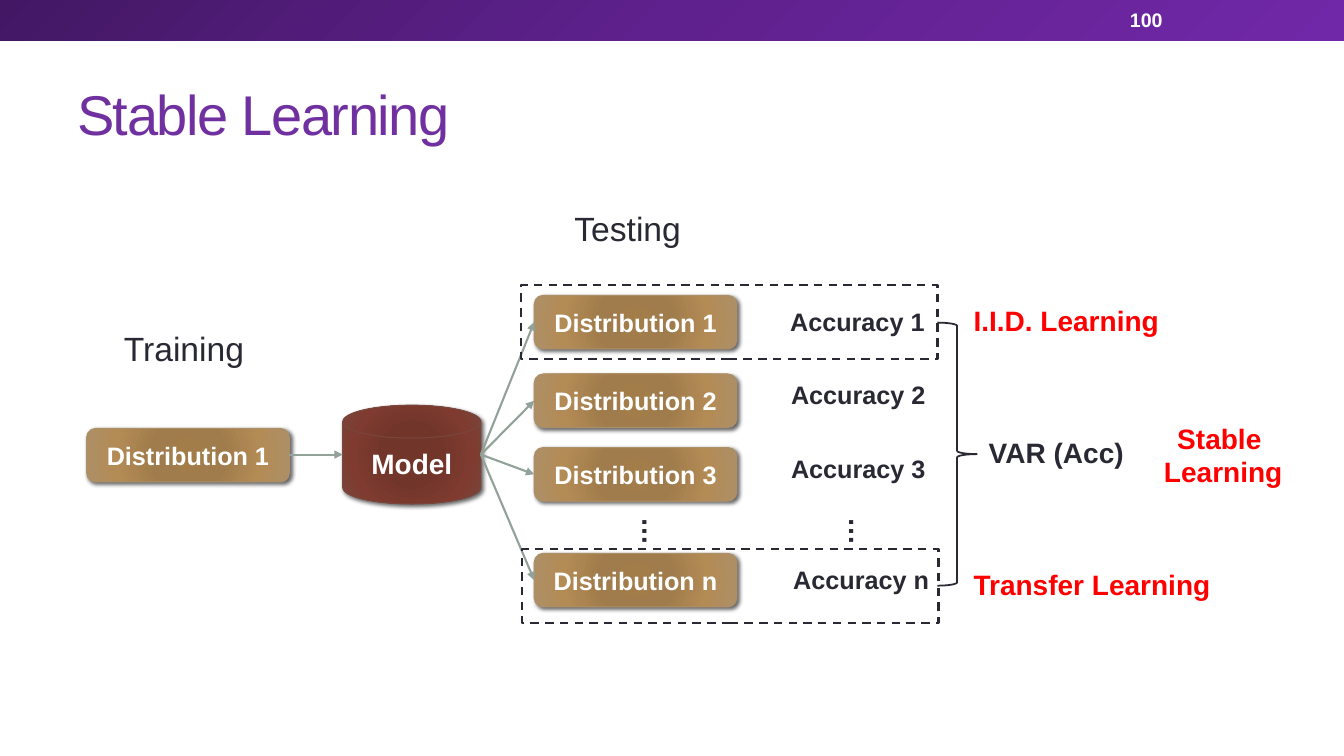
"""Build the Stable Learning slide on a grid of 100 columns by 100 rows."""
import pptx
import pptx.util
import pptx.oxml
import pptx.oxml.ns
import pptx.dml.color
import pptx.enum.dml
import pptx.enum.shapes
import pptx.enum.text
from lxml import etree

COLORS = {"ink": "292934", "red": "FF0000", "white": "FFFFFF", "title": "7030A0",
          "arrow": "93A299", "tan": "AD8F67", "brick": "79463D"}
GRADIENTS = {
    "bar": [(0, "431764"), (50, "5F218E"), (100, "7128A8")],
    "tan": [(0, "A37D49"), (34, "A07C4C"), (70, "B38B55"), (100, "AD8F67")],
    "brick": [(0, "743327"), (34, "72352A"), (70, "7F3B2F"), (100, "79463D")],
}
SHAPE = pptx.enum.shapes.MSO_SHAPE
ALIGN = pptx.enum.text.PP_ALIGN
ANCHOR = pptx.enum.text.MSO_ANCHOR
NS = pptx.oxml.ns.nsdecls("a")
qn = pptx.oxml.ns.qn
rgb = pptx.dml.color.RGBColor.from_string

prs = pptx.Presentation()
prs.slide_width = pptx.util.Inches(13.33)
prs.slide_height = pptx.util.Inches(7.5)
slide = prs.slides.add_slide(prs.slide_layouts[6])
shapes = slide.shapes


def grid(*values):
    """Turn column, row pairs into lengths."""
    sides = (prs.slide_width, prs.slide_height)
    return [int(v * sides[i % 2] / 100) for i, v in enumerate(values)]


def write(s, text, size, color, bold=True, align=ALIGN.LEFT, anchor=ANCHOR.TOP):
    """Set and format the text of a shape."""
    tf = s.text_frame
    tf.text = text
    tf.vertical_anchor = anchor
    for p in tf.paragraphs:
        p.alignment = align
        for r in p.runs:
            r.font.name = "Arial"
            r.font.size = pptx.util.Pt(size)
            r.font.bold = bold
            r.font.color.rgb = rgb(COLORS[color])


CARD_W, CARD_H = 15.08, 7.07
TRAIN_X, TEST_X = 6.45, 39.75
MODEL_X, MODEL_W = 25.5, 10.28
FLOW_Y = 60.13
cases = [("1", 39.07, 58.05, 39.87), ("2", 49.47, 58.12, 49.47),
         ("3", 59.2, 58.12, 59.33), ("n", 73.2, 58.28, 74)]

blocks = [(SHAPE.RECTANGLE, (0, 0, 100, 5.4), "bar", "", 18),
          (SHAPE.FLOWCHART_MAGNETIC_DISK, (MODEL_X, 53.6, MODEL_W, 13.07), "brick", "Model", 20),
          (SHAPE.ROUNDED_RECTANGLE, (TRAIN_X, 56.67, CARD_W, CARD_H), "tan", "Distribution 1", 18)]
blocks += [(SHAPE.ROUNDED_RECTANGLE, (TEST_X, card_y, CARD_W, CARD_H), "tan",
            f"Distribution {case}", 18) for case, card_y, _, _ in cases]

for kind, place, tone, label, size in blocks:
    s = shapes.add_shape(kind, *grid(*place))
    s.shadow.inherit = False
    s.fill.background()
    s.line.fill.background()
    direction = '<a:lin ang="2700000" scaled="0"/>'
    if label:
        direction = ('<a:path path="circle"><a:fillToRect l="100000" t="100000" '
                     'r="100000" b="100000"/></a:path>')
        s.line.color.rgb = rgb(COLORS[tone])
        s.line.width = pptx.util.Pt(0.75)
        s._element.spPr.find(qn("a:effectLst")).append(pptx.oxml.parse_xml(
            f'<a:outerShdw {NS} blurRad="38100" dist="25400" dir="2700000" rotWithShape="0">'
            '<a:srgbClr val="000000"><a:alpha val="60000"/></a:srgbClr></a:outerShdw>'))
        write(s, label, size, "white", align=ALIGN.CENTER, anchor=ANCHOR.MIDDLE)
    stops = "".join(f'<a:gs pos="{pos * 1000}"><a:srgbClr val="{tint}"/></a:gs>'
                    for pos, tint in GRADIENTS[tone])
    spPr = s._element.spPr
    spPr.replace(spPr.find(qn("a:noFill")), pptx.oxml.parse_xml(
        f'<a:gradFill {NS} rotWithShape="1"><a:gsLst>{stops}</a:gsLst>{direction}</a:gradFill>'))

arrows = [(TRAIN_X + CARD_W, FLOW_Y, MODEL_X, FLOW_Y)]
arrows += [(MODEL_X + MODEL_W, FLOW_Y, TEST_X, card_y + CARD_H / 2) for _, card_y, _, _ in cases]
for ends in arrows:
    s = shapes.add_connector(pptx.enum.shapes.MSO_CONNECTOR.STRAIGHT, *grid(*ends))
    s.line.color.rgb = rgb(COLORS["arrow"])
    s.line.width = pptx.util.Pt(1.5)
    etree.SubElement(s.line._get_or_add_ln(), qn("a:tailEnd"), type="triangle")
    etree.SubElement(s._element.spPr, qn("a:effectLst"))

outlines = [(SHAPE.RECTANGLE, (38.78, 37.73, 30.98, 9.73), 1.5),
            (SHAPE.RECTANGLE, (38.85, 72.67, 30.98, 9.73), 1.5),
            (SHAPE.RIGHT_BRACE, (69.75, 42.67, 2.93, 34.8), 1.25)]
for kind, place, width in outlines:
    s = shapes.add_shape(kind, *grid(*place))
    s.shadow.inherit = False
    s.fill.background()
    s.line.color.rgb = rgb(COLORS["ink"])
    s.line.width = pptx.util.Pt(width)
    if kind == SHAPE.RECTANGLE:
        s.line.dash_style = pptx.enum.dml.MSO_LINE.DASH

labels = [((71.7, 39.47, 15.38, 5.87), "I.I.D. Learning", 20, "red", True),
          ((71.7, 74.4, 19.28, 5.87), "Transfer Learning", 20, "red", True),
          ((72.83, 56.93, 11.63, 5.87), "VAR (Acc)", 20, "ink", True),
          ((8.48, 42.67, 10.58, 6.67), "Training", 24, "ink", False),
          ((42, 26.8, 9.53, 6.67), "Testing", 24, "ink", False)]
labels += [((x, y, 11.63, 5.33), f"Accuracy {case}", 18, "ink", True) for case, _, x, y in cases]
for place, label, size, color, bold in labels:
    s = shapes.add_textbox(*grid(*place))
    s.text_frame.word_wrap = False
    write(s, label, size, color, bold)

s = shapes.add_textbox(*grid(85.8, 55.07, 10.43, 10.27))
s.text_frame.word_wrap = False
write(s, "Stable \nLearning", 20, "red", align=ALIGN.CENTER)

for dots_x in (46.2, 61.58):
    s = shapes.add_textbox(*grid(dots_x, 67.2, 4.05, 5.07))
    s.text_frame.word_wrap = False
    s.text_frame._txBody.bodyPr.set("vert", "eaVert")
    write(s, "…", 20, "ink", align=ALIGN.CENTER)

s = shapes.add_textbox(*grid(83.33, 0.27, 11.7, 4.8))
s.text_frame.word_wrap = True
write(s, "100", 14, "white", anchor=ANCHOR.MIDDLE)

s = shapes.add_textbox(*grid(5, 7.73, 90, 14.4))
s.text_frame.word_wrap = True
write(s, "Stable Learning", 40, "title", bold=False, anchor=ANCHOR.MIDDLE)
s.text_frame.paragraphs[0].runs[0].font._element.set("spc", "-100")

prs.save("out.pptx")
